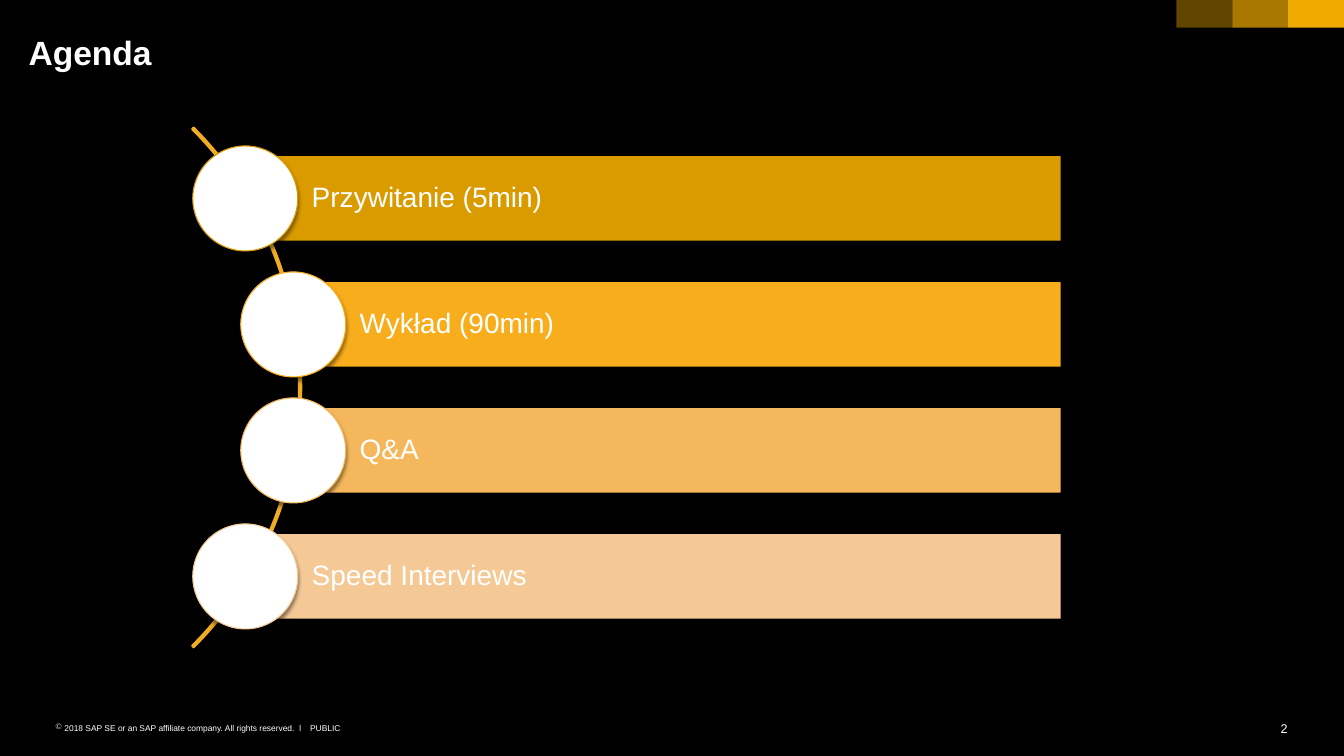
import pptx
import pptx.util
import pptx.dml.color
import pptx.enum.shapes
import pptx.enum.text
import pptx.oxml
import pptx.oxml.ns
from dataclasses import dataclass

Pt = pptx.util.Pt
SHAPE = pptx.enum.shapes.MSO_SHAPE
ALIGN = pptx.enum.text.PP_ALIGN
ANCHOR = pptx.enum.text.MSO_ANCHOR


@dataclass(frozen=True)
class Theme:
    """Colours, font and type sizes of the deck."""
    background: str = "000000"
    text: str = "FFFFFF"
    disc: str = "FFFFFF"
    accent: str = "F0AB00"
    arc: str = "F0AC22"
    shadow: str = "000000"
    bars: tuple = ("DA9B00", "F8AD1C", "F5B75B", "F5C995")
    font: str = "Arial"
    title: float = 24
    item: float = 20
    number: float = 9
    footer: float = 6


THEME = Theme()
AGENDA = ["Przywitanie (5min)", "Wykład (90min)", "Q&A", "Speed Interviews"]


def rgb(code):
    """Turn a hex code into a colour."""
    return pptx.dml.color.RGBColor.from_string(code)


def element(xml):
    """Parse one drawing element, given without its prefix declaration."""
    name, rest = xml[1:].split(" ", 1)
    return pptx.oxml.parse_xml(f"<{name} {pptx.oxml.ns.nsdecls('a')} {rest}")


def write(sp, text, size, bold=False, align=ALIGN.LEFT, anchor=ANCHOR.TOP, insets=(0, 0, 0, 0), wrap=True):
    """Write one styled paragraph into a shape and return it."""
    tf = sp.text_frame
    tf.word_wrap = wrap
    tf.vertical_anchor = anchor
    tf.margin_left, tf.margin_top, tf.margin_right, tf.margin_bottom = map(Pt, insets)
    p = tf.paragraphs[0]
    p.text = text
    p.alignment = align
    for r in p.runs:
        r.font.name = THEME.font
        r.font.size = Pt(size)
        r.font.bold = bold
        r.font.color.rgb = rgb(THEME.text)
    return p


def add_text(s, box, text, size, **style):
    """Add a text box holding one paragraph and return the paragraph."""
    return write(s.shapes.add_textbox(*map(Pt, box)), text, size, **style)


def add_filled(s, kind, box, fill):
    """Add a flat shape with no outline."""
    sp = s.shapes.add_shape(kind, *map(Pt, box))
    sp.shadow.inherit = False
    sp.fill.solid()
    sp.fill.fore_color.rgb = rgb(fill)
    sp.line.fill.background()
    return sp


def add_swatches(s, box):
    """Fill the box with three accent blocks of rising opacity."""
    x, y, w, h = box
    step = w / 3
    for i, opacity in enumerate((40, 70, 100)):
        sp = add_filled(s, SHAPE.RECTANGLE, (x + i * step, y, step, h), THEME.accent)
        if opacity < 100:
            color = sp.fill._xPr.find(".//" + pptx.oxml.ns.qn("a:srgbClr"))
            color.append(element(f'<a:alpha val="{opacity * 1000}"/>'))


def add_footer(s, box):
    """Place the copyright line, classification and page number in the box."""
    x, y, w, h = box
    p = add_text(s, (x, y, 178.5, h),
                 "2018 SAP SE or an SAP affiliate company. All rights reserved.  ǀ", THEME.footer)
    pPr = p._p.get_or_add_pPr()
    pPr.set("marL", str(Pt(6.5)))
    pPr.set("indent", str(-Pt(6.5)))
    pPr.append(element(f'<a:buClr ><a:srgbClr val="{THEME.text}"/></a:buClr>'))
    pPr.append(element('<a:buChar char="©"/>'))
    add_text(s, (x + 182, y, 24, h), "PUBLIC", THEME.footer, wrap=False)
    add_text(s, (x + w - 11, y - 1.4, 11, 11), "2", THEME.number, align=ALIGN.RIGHT, wrap=False)


def add_agenda(s, box, items):
    """Place the agenda bars and their discs along an arc that spans the box."""
    x, y, w, h = box
    bar_h, disc, pitch, bulge = 60.4, 75, 90, 34.3
    arc_d, arc_right = 525, x + 77.5
    middle = y + h / 2
    arc = s.shapes.add_shape(SHAPE.BLOCK_ARC, Pt(arc_right - arc_d), Pt(middle - arc_d / 2),
                             Pt(arc_d), Pt(arc_d))
    arc.shadow.inherit = False
    arc.fill.background()
    arc.line.color.rgb = rgb(THEME.arc)
    arc.line.width = Pt(1.5)
    for i, value in enumerate((189, 27, 0.003)):
        arc.adjustments[i] = value

    for i, (text, color) in enumerate(zip(items, THEME.bars)):
        outer = i in (0, len(items) - 1)
        cx = x + disc / 2 + (0 if outer else bulge)
        cy = middle + (i - (len(items) - 1) / 2) * pitch
        bar = add_filled(s, SHAPE.RECTANGLE, (cx, cy - bar_h / 2, x + w - cx, bar_h), color)
        p = write(bar, text, THEME.item, anchor=ANCHOR.MIDDLE, insets=(47.5, 4, 4, 4))
        p.line_spacing = 0.9
        dot = add_filled(s, SHAPE.OVAL, (cx - disc / 2, cy - disc / 2, disc, disc), THEME.disc)
        dot.line.color.rgb = rgb(color)
        dot.line.width = Pt(0.79)
        effects = dot._element.spPr.find(pptx.oxml.ns.qn("a:effectLst"))
        effects.append(element(
            f'<a:outerShdw blurRad="{Pt(3)}" dist="{Pt(2.4)}" dir="5400000" rotWithShape="0">'
            f'<a:srgbClr val="{THEME.shadow}"><a:alpha val="45000"/></a:srgbClr></a:outerShdw>'))


def agenda_slide(prs, box):
    """Build the agenda slide inside the given box."""
    x, y, w, h = box
    s = prs.slides.add_slide(prs.slide_layouts[6])
    s.background.fill.solid()
    s.background.fill.fore_color.rgb = rgb(THEME.background)
    add_footer(s, (x + 39.6, y + h - 23.8, w - 79.9, 8))
    add_swatches(s, (x + w - 119.7, y, 119.7, 19.8))
    add_text(s, (x + 20.4, y + 22.6, 879, 60), "Agenda", THEME.title, bold=True)
    add_agenda(s, (x + 137.8, y + 91, 620.3, 371.5), AGENDA)


def main():
    """Create the deck and save it."""
    prs = pptx.Presentation()
    prs.slide_width, prs.slide_height = Pt(960.48), Pt(540)
    agenda_slide(prs, (0, 0, 960.48, 540))
    prs.save("out.pptx")


if __name__ == "__main__":
    main()
